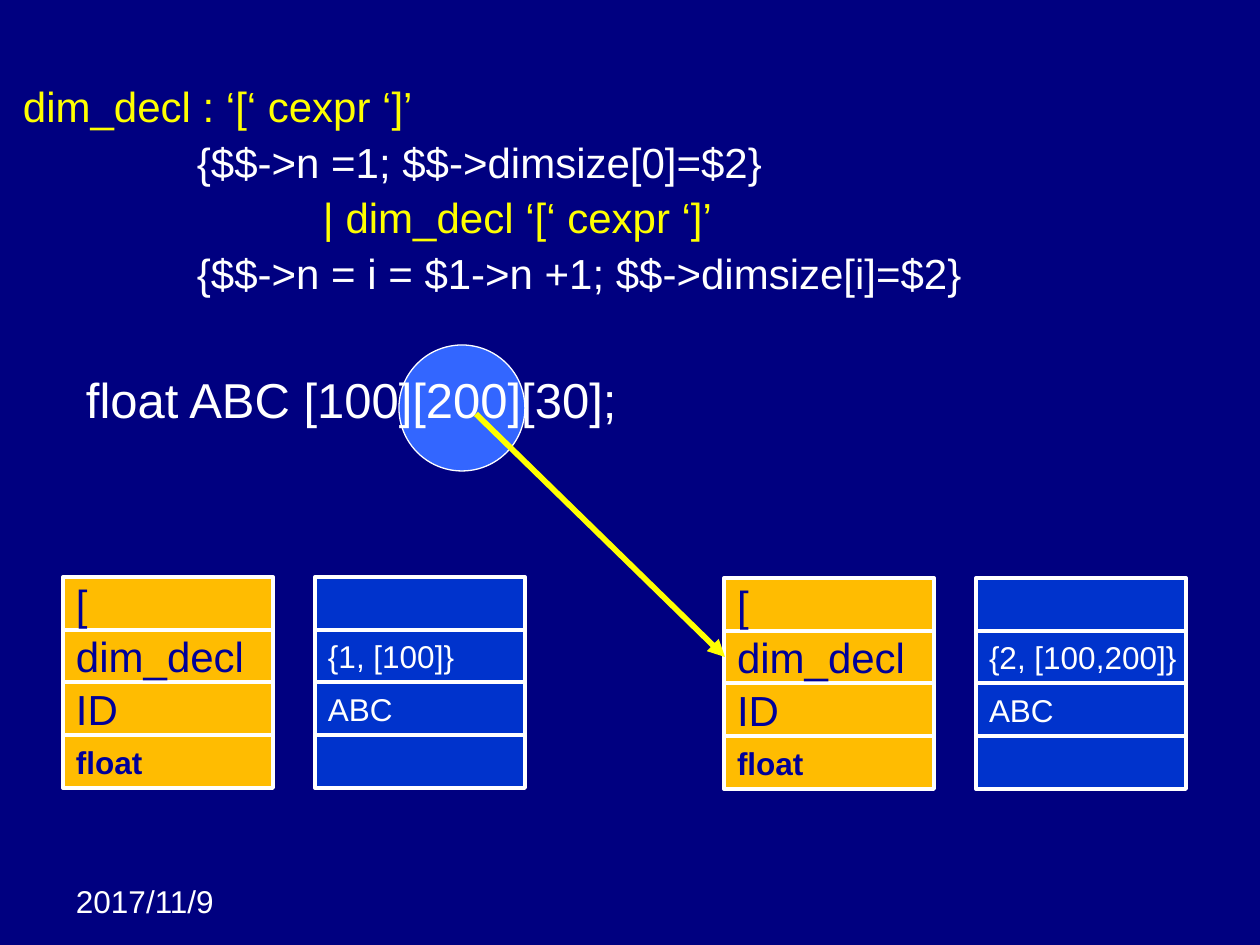
import lxml.etree
import pptx
import pptx.dml.color
import pptx.enum.shapes
import pptx.enum.text
import pptx.oxml.ns
import pptx.util

COLORS = {
    "background": "000080",
    "white": "FFFFFF",
    "yellow": "FFFF00",
    "circle": "3366FF",
    "symbol": "FFBC01",
    "symbol_text": "000099",
    "value": "0033CC",
}
FONT = "Arial"
EMU_PER_PX = 914400 / 126
INSET_X, INSET_Y = 13, 6
COLUMN_WIDTH, COLUMN_GAP, STACK_HEIGHT, ROW_HEIGHT = 210, 42, 211, 53


def px(length):
    return round(length * EMU_PER_PX)


def color(name):
    return pptx.dml.color.RGBColor.from_string(COLORS[name])


def add_run(paragraph, text, size, color_name, bold=False):
    run = paragraph.add_run()
    run.text = text
    run.font.name = FONT
    run.font.size = pptx.util.Pt(size)
    run.font.bold = bold
    run.font.color.rgb = color(color_name)


def set_insets(text_frame, right=INSET_X):
    text_frame.word_wrap = True
    text_frame.margin_left = px(INSET_X)
    text_frame.margin_right = px(right)
    text_frame.margin_top = text_frame.margin_bottom = px(INSET_Y)


def add_text_box(slide, left, top, width, height):
    text_frame = slide.shapes.add_textbox(px(left), px(top), px(width), px(height)).text_frame
    set_insets(text_frame)
    return text_frame


def add_filled_shape(slide, kind, left, top, width, height, fill, line_width):
    shape = slide.shapes.add_shape(kind, px(left), px(top), px(width), px(height))
    shape.shadow.inherit = False
    shape.fill.solid()
    shape.fill.fore_color.rgb = color(fill)
    shape.line.color.rgb = color("white")
    shape.line.width = pptx.util.Pt(line_width)
    return shape


def set_indent(paragraph, margin, indent):
    properties = paragraph._p.get_or_add_pPr()
    properties.set("marL", str(px(margin)))
    properties.set("indent", str(px(indent)))
    properties.set("defTabSz", str(pptx.util.Inches(1)))
    tabs = lxml.etree.SubElement(properties, pptx.oxml.ns.qn("a:tabLst"))
    for inch in range(8):
        tab = lxml.etree.SubElement(tabs, pptx.oxml.ns.qn("a:tab"))
        tab.set("pos", str(pptx.util.Inches(inch)))
        tab.set("algn", "l")


def add_grammar(slide, left, top, width, height):
    text_frame = add_text_box(slide, left, top, width, height)
    lines = [
        (48, -48, 0, 24, [("dim_decl : ‘[‘ cexpr ‘]’", "yellow")]),
        (48, -48, 6, 24, [("\t\t{$$->n =1; $$->dimsize[0]=$2}", "white")]),
        (48, -48, 6, 24, [("\t\t\t", "white"), ("| dim_decl ‘[‘ cexpr ‘]’", "yellow")]),
        (48, -48, 6, 24, [("\t\t{$$->n = i = $1->n +1; $$->dimsize[i]=$2}", "white")]),
        (102, -39, 44, 28, [("float ABC [100][200][30];", "white")]),
    ]
    for index, (margin, indent, space, size, runs) in enumerate(lines):
        paragraph = text_frame.add_paragraph() if index else text_frame.paragraphs[0]
        set_indent(paragraph, margin, indent)
        paragraph.line_spacing = 0.9
        paragraph.space_before = pptx.util.Pt(space)
        for text, color_name in runs:
            add_run(paragraph, text, size, color_name)


def add_column(slide, left, top, cells, fill, text_color):
    for index, (text, size, bold) in reversed(list(enumerate(cells))):
        row_top = top + index * STACK_HEIGHT // len(cells)
        shape = add_filled_shape(slide, pptx.enum.shapes.MSO_SHAPE.RECTANGLE,
                                 left, row_top, COLUMN_WIDTH, ROW_HEIGHT, fill, 2.25)
        if text:
            text_frame = shape.text_frame
            set_insets(text_frame, right=0)
            text_frame.vertical_anchor = pptx.enum.text.MSO_ANCHOR.MIDDLE
            paragraph = text_frame.paragraphs[0]
            paragraph.alignment = pptx.enum.text.PP_ALIGN.LEFT
            add_run(paragraph, text, size, text_color, bold)


def add_parse_stack(slide, left, top, dimensions):
    symbols = [("[", 24, False), ("dim_decl", 24, False), ("ID", 24, False), ("float", 18, True)]
    values = [(text, 18, False) for text in ("", dimensions, "ABC", "")]
    add_column(slide, left, top, symbols, "symbol", "symbol_text")
    add_column(slide, left + COLUMN_WIDTH + COLUMN_GAP, top, values, "value", "white")


def add_arrow(slide, start_x, start_y, end_x, end_y):
    arrow = slide.shapes.add_connector(pptx.enum.shapes.MSO_CONNECTOR.STRAIGHT,
                                       px(start_x), px(start_y), px(end_x), px(end_y))
    arrow.line.color.rgb = color("yellow")
    arrow.line.width = pptx.util.Pt(3.25)
    head = lxml.etree.SubElement(arrow.line._get_or_add_ln(), pptx.oxml.ns.qn("a:tailEnd"))
    head.set("type", "triangle")
    lxml.etree.SubElement(arrow._element.spPr, pptx.oxml.ns.qn("a:effectLst"))


def add_date(slide, left, top, width, height):
    text_frame = add_text_box(slide, left, top, width, height)
    add_run(text_frame.paragraphs[0], "2017/11/9", 18, "white")


def main():
    presentation = pptx.Presentation()
    presentation.slide_width = px(1260)
    presentation.slide_height = px(945)
    slide = presentation.slides.add_slide(presentation.slide_layouts[6])
    slide.background.fill.solid()
    slide.background.fill.fore_color.rgb = color("background")

    add_date(slide, 63, 876, 199, 50)
    add_filled_shape(slide, pptx.enum.shapes.MSO_SHAPE.OVAL, 399, 345, 126, 126, "circle", 0.75)
    add_grammar(slide, 10, 80, 1071, 683)
    add_parse_stack(slide, 63, 577, "{1, [100]}")
    add_parse_stack(slide, 724, 578, "{2, [100,200]}")
    add_arrow(slide, 476, 414, 725, 657)
    presentation.save("out.pptx")


if __name__ == "__main__":
    main()
